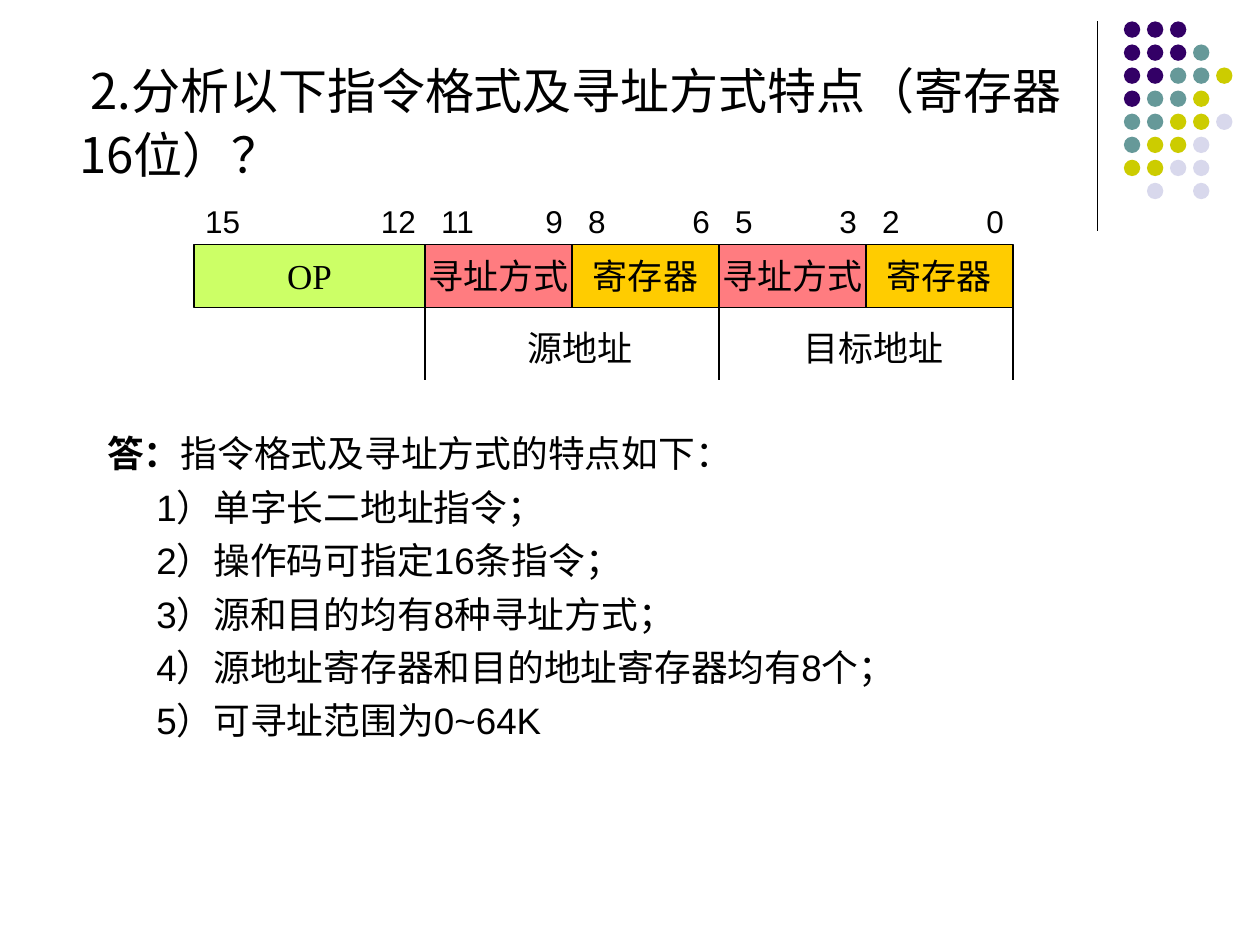
from dataclasses import dataclass
from itertools import accumulate

from lxml import etree
from pptx import Presentation
from pptx import util as u
from pptx.dml.color import RGBColor
from pptx.enum import shapes, text
from pptx.oxml.ns import qn


@dataclass(frozen=True)
class Theme:
    """Colours, fonts and type sizes of the slide."""
    ink: str = "000000"
    opcode: str = "CCFF66"
    mode: str = "FF7C80"
    register: str = "FFCC00"
    sans: str = "Arial"
    serif: str = "Times New Roman"
    cjk: str = "Noto Sans CJK JP"
    title: float = 28
    answer: float = 21
    field: float = 20
    bit: float = 18
    rule: float = 0.75


THEME = Theme()
DOT_COLOURS = {"P": "330066", "T": "669999", "Y": "CCCC00", "L": "D8D8EC"}
DOT_ROWS = ["PPP", "PPPT", "PPTTY", "PTTY", "TTYYL", "TYYL", "YYLL", " L L"]
DOT_PITCH = 0.183
UNIT = 1 / 6
FIELD_LEFT, FIELD_TOP, FIELD_HEIGHT = 1.54, 1.94, 0.5
FIELDS = [
    ("OP", 11, THEME.opcode, "15", "12"),
    ("寻址方式", 7, THEME.mode, "11", "9"),
    ("寄存器", 7, THEME.register, "8", "6"),
    ("寻址方式", 7, THEME.mode, "5", "3"),
    ("寄存器", 7, THEME.register, "2", "0"),
]
EDGES = [FIELD_LEFT + n * UNIT for n in accumulate((f[1] for f in FIELDS), initial=0)]
FEATURES = [
    "1）单字长二地址指令；",
    "2）操作码可指定16条指令；",
    "3）源和目的均有8种寻址方式；",
    "4）源地址寄存器和目的地址寄存器均有8个；",
    "5）可寻址范围为0~64K",
]


def add_run(paragraph, words, size, face, bold=False):
    """Append one formatted run to a paragraph."""
    run = paragraph.add_run()
    run.text = words
    run.font.size = u.Pt(size)
    run.font.name = face
    run.font.bold = bold
    run.font.color.rgb = RGBColor.from_string(THEME.ink)
    east_asian = etree.SubElement(run.font._element, qn("a:ea"))
    east_asian.set("typeface", THEME.cjk)


def place(holder, left, top, width, height):
    """Move a placeholder and anchor its text at the top."""
    holder.left, holder.top = u.Inches(left), u.Inches(top)
    holder.width, holder.height = u.Inches(width), u.Inches(height)
    frame = holder.text_frame
    frame.word_wrap = True
    frame.auto_size = text.MSO_AUTO_SIZE.NONE
    frame.vertical_anchor = text.MSO_ANCHOR.TOP
    return frame


def set_indent(paragraph, margin, first):
    """Set the left margin and first-line indent of a paragraph."""
    properties = paragraph._p.get_or_add_pPr()
    properties.set("marL", str(u.Inches(margin)))
    properties.set("indent", str(u.Inches(first)))


def add_filled(slide, kind, left, top, width, height, fill, outlined=False):
    """Draw a flat preset shape with an optional thin outline."""
    shape = slide.shapes.add_shape(kind, *map(u.Inches, (left, top, width, height)))
    shape.shadow.inherit = False
    shape.fill.solid()
    shape.fill.fore_color.rgb = RGBColor.from_string(fill)
    if outlined:
        shape.line.color.rgb = RGBColor.from_string(THEME.ink)
        shape.line.width = u.Pt(THEME.rule)
    else:
        shape.line.fill.background()
    return shape


def add_upright(slide, x, top, bottom):
    """Draw a thin vertical line."""
    line = slide.shapes.add_connector(
        shapes.MSO_CONNECTOR.STRAIGHT, *map(u.Inches, (x, top, x, bottom)))
    line.line.color.rgb = RGBColor.from_string(THEME.ink)
    line.line.width = u.Pt(THEME.rule)
    etree.SubElement(line._element.spPr, qn("a:effectLst"))


def add_label(slide, left, top, width, height):
    """Add a wrapping text box and return its first paragraph."""
    box = slide.shapes.add_textbox(*map(u.Inches, (left, top, width, height)))
    box.text_frame.word_wrap = True
    box.text_frame.vertical_anchor = text.MSO_ANCHOR.MIDDLE
    return box.text_frame.paragraphs[0]


def add_dots(slide):
    """Draw the corner ornament of coloured dots and its rule."""
    add_upright(slide, 8.71, 0.17, 1.83)
    for row, pattern in enumerate(DOT_ROWS):
        for column, key in enumerate(pattern):
            if key in DOT_COLOURS:
                add_filled(slide, shapes.MSO_SHAPE.OVAL, 8.92 + column * DOT_PITCH,
                           0.17 + row * DOT_PITCH, 0.13, 0.13, DOT_COLOURS[key])


def add_question(slide):
    """Fill the title with the question."""
    paragraph = place(slide.shapes.title, 0.53, 0.38, 8.19, 1.13).paragraphs[0]
    paragraph.alignment = text.PP_ALIGN.LEFT
    paragraph.line_spacing = u.Pt(37)
    set_indent(paragraph, 0, 0.09)
    add_run(paragraph, "2.分析以下指令格式及寻址方式特点（寄存器16位）？", THEME.title, THEME.cjk)


def add_answer(slide):
    """Fill the body with the answer and its list of features."""
    frame = place(slide.placeholders[1], 0.67, 3.37, 8.5, 3.7)
    for index in range(len(FEATURES) + 1):
        paragraph = frame.add_paragraph() if index else frame.paragraphs[0]
        set_indent(paragraph, 0.47 if index else 0.08, 0)
        etree.SubElement(paragraph._p.get_or_add_pPr(), qn("a:buNone"))
        paragraph.line_spacing = u.Pt(25.3)
        paragraph.space_before = u.Pt(5.2 if index else 0)
        if index:
            add_run(paragraph, FEATURES[index - 1], THEME.answer, THEME.sans)
        else:
            add_run(paragraph, "答：", THEME.answer, THEME.sans, bold=True)
            add_run(paragraph, "指令格式及寻址方式的特点如下：", THEME.answer, THEME.sans)


def add_fields(slide):
    """Draw the row of instruction fields."""
    for (name, units, fill, _, _), left in zip(FIELDS, EDGES):
        cell = add_filled(slide, shapes.MSO_SHAPE.RECTANGLE, left, FIELD_TOP,
                          units * UNIT, FIELD_HEIGHT, fill, outlined=True)
        cell.text_frame.word_wrap = False
        cell.text_frame.vertical_anchor = text.MSO_ANCHOR.MIDDLE
        paragraph = cell.text_frame.paragraphs[0]
        paragraph.alignment = text.PP_ALIGN.CENTER
        add_run(paragraph, name, THEME.field, THEME.serif)


def add_bit_numbers(slide):
    """Set the bit numbers above the fields on tab stops."""
    origin = FIELD_LEFT + 0.09
    paragraph = add_label(slide, origin - 0.1, 1.55, 6.66, 0.4)
    stops = etree.SubElement(paragraph._p.get_or_add_pPr(), qn("a:tabLst"))
    for start, end in zip(EDGES, EDGES[1:]):
        for x, side in ((start + 0.13, "l"), (end - 0.07, "r")):
            if x > EDGES[0] + 0.2:
                etree.SubElement(stops, qn("a:tab"), pos=str(u.Inches(x - origin)), algn=side)
    numbers = [bit for field in FIELDS for bit in field[3:]]
    add_run(paragraph, "\t".join(numbers), THEME.bit, THEME.sans)


def add_addresses(slide):
    """Mark off and name the two addresses below the fields."""
    bounds = EDGES[1::2]
    for x in bounds:
        add_upright(slide, x, FIELD_TOP + FIELD_HEIGHT, 3.02)
    for name, start, end in zip(("源地址", "目标地址"), bounds, bounds[1:]):
        paragraph = add_label(slide, start + 0.06, 2.54, end - start, 0.44)
        paragraph.alignment = text.PP_ALIGN.CENTER
        add_run(paragraph, name, THEME.field, THEME.sans)


def main():
    """Build and save the slide."""
    deck = Presentation()
    deck.slide_width, deck.slide_height = u.Inches(10), u.Inches(7.5)
    slide = deck.slides.add_slide(deck.slide_layouts[1])
    add_dots(slide)
    add_answer(slide)
    add_question(slide)
    add_fields(slide)
    add_addresses(slide)
    add_bit_numbers(slide)
    deck.save("out.pptx")


if __name__ == "__main__":
    main()
